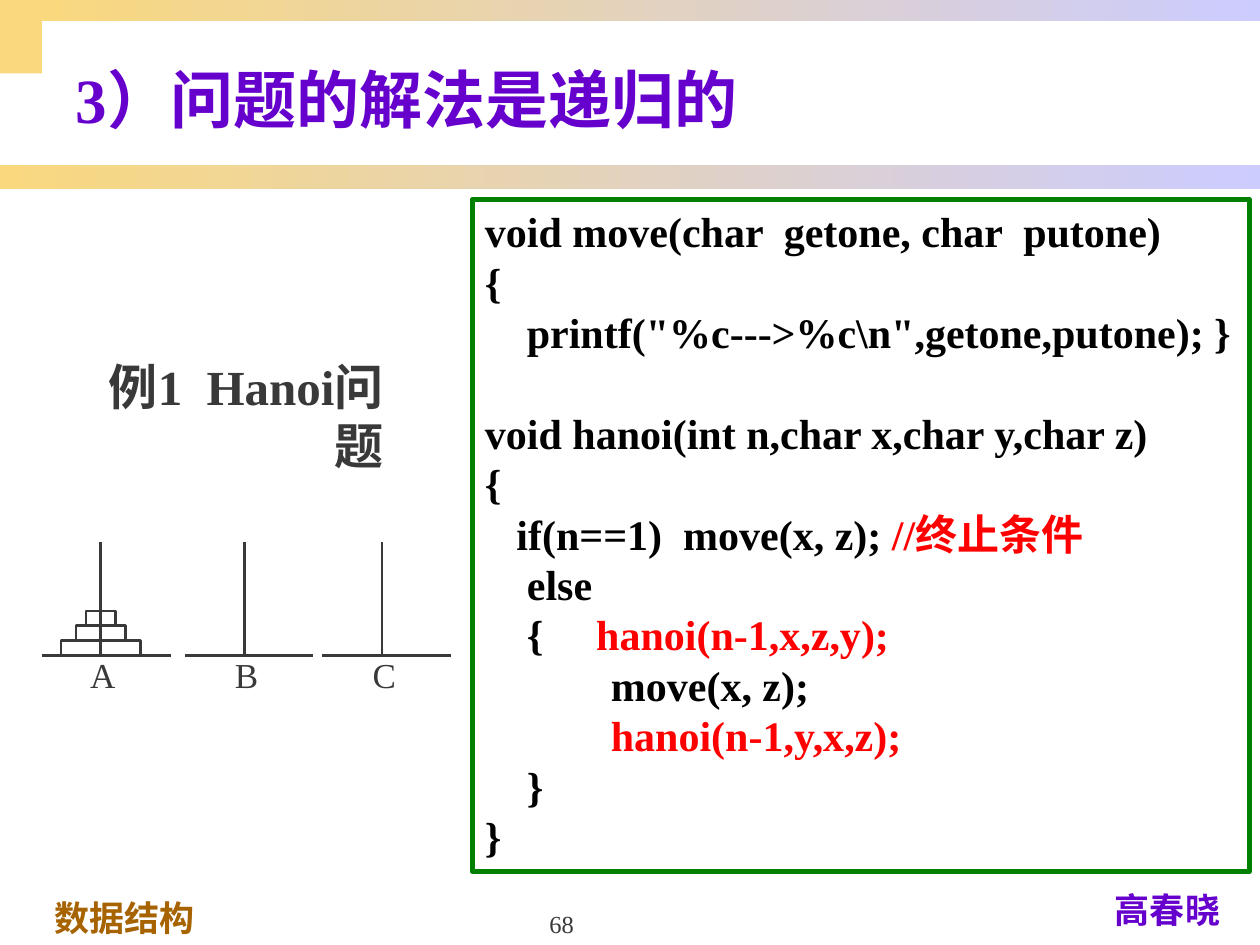
import dataclasses
import typing

import pptx
import pptx.dml.color
import pptx.enum.shapes
import pptx.enum.text
import pptx.oxml
import pptx.util
import lxml.etree

Align = pptx.enum.text.PP_ALIGN
Anchor = pptx.enum.text.MSO_ANCHOR
RECT = pptx.enum.shapes.MSO_SHAPE.RECTANGLE
STRAIGHT = pptx.enum.shapes.MSO_CONNECTOR.STRAIGHT
WIDTH, HEIGHT = pptx.util.Inches(10), pptx.util.Inches(7.5)
COL, ROW = WIDTH / 120, HEIGHT / 90


@dataclasses.dataclass(frozen=True)
class Theme:
    font: str = "Times New Roman"
    gold: str = "F9D87E"
    lilac: str = "CCCCFF"
    brown: str = "A66300"
    purple: str = "6600CC"
    gray: str = "393939"
    black: str = "000000"
    white: str = "FFFFFF"
    red: str = "FF0000"
    green: str = "008000"
    title: int = 36
    heading: int = 28
    code: int = 24
    code_pitch: float = 28.8
    label: int = 20
    number: int = 14
    thin: float = 1.5
    frame: float = 3


THEME = Theme()


class Box(typing.NamedTuple):
    col: float
    row: float
    cols: float
    rows: float

    def emu(self) -> tuple[int, int, int, int]:
        return (round(self.col * COL), round(self.row * ROW),
                round(self.cols * COL), round(self.rows * ROW))


@dataclasses.dataclass(frozen=True)
class Label:
    text: str
    box: Box
    size: int
    color: str
    bold: bool = True
    align: Align = Align.LEFT
    anchor: Anchor = Anchor.TOP


@dataclasses.dataclass(frozen=True)
class Peg:
    name: str
    base: float
    pole: float


@dataclasses.dataclass(frozen=True)
class CodeLine:
    text: str = ""
    red: str = ""
    indent: float = 0
    hang: float = 0
    gap: bool = False


BANDS = [Box(0, 15.75, 120, 2.25), Box(4, 0, 116, 2)]
CORNER = Box(0, 0, 4, 7)
TITLE = Label("3）问题的解法是递归的", Box(6, 3, 114, 12.8), THEME.title,
              THEME.purple, anchor=Anchor.MIDDLE)
LABELS = [
    Label("数据结构", Box(4, 84.8, 42, 5.2), THEME.label, THEME.brown),
    Label("高春晓", Box(103.4, 84, 15.6, 5.2), THEME.label, THEME.purple,
          align=Align.CENTER),
    Label("68", Box(41, 84, 25, 6), THEME.number, THEME.gray, bold=False,
          align=Align.CENTER, anchor=Anchor.BOTTOM),
    Label("例1  Hanoi问题", Box(5.8, 33.4, 31.9, 6.8), THEME.heading,
          THEME.gray, align=Align.RIGHT),
]
PEGS = [Peg("A", 4, 9.6), Peg("B", 17.6, 23.3), Peg("C", 30.7, 36.4)]
PEG_TOP, GROUND, BASE_COLS = 51.6, 62.4, 12.25
DISKS, DISK_ROWS = [7.6, 4.7, 2.8], 1.4
CODE_BOX = Box(45, 19, 74, 64)
CODE = [
    CodeLine("void move(char  getone, char  putone)"),
    CodeLine("{"),
    CodeLine('printf("%c--->%c\\n",getone,putone); }', indent=4),
    CodeLine("void hanoi(int n,char x,char y,char z)", gap=True),
    CodeLine("{"),
    CodeLine("if(n==1)  move(x, z); ", "//终止条件", indent=3),
    CodeLine("else", indent=4),
    CodeLine("{\t", "hanoi(n-1,x,z,y);", indent=4, hang=6.6),
    CodeLine("move(x, z);", indent=12),
    CodeLine("", "hanoi(n-1,y,x,z);", indent=12),
    CodeLine("}", indent=4),
    CodeLine("}"),
]


def rgb(color: str) -> pptx.dml.color.RGBColor:
    return pptx.dml.color.RGBColor.from_string(color)


def set_font(font, size: int, color: str, bold: bool) -> None:
    font.name, font.size, font.bold = THEME.font, pptx.util.Pt(size), bold
    font.color.rgb = rgb(color)


def add_rect(s, box: Box, fill: str = "", line: str = "", width: float = 0):
    sp = s.shapes.add_shape(RECT, *box.emu())
    sp.shadow.inherit = False
    if fill:
        sp.fill.solid()
        sp.fill.fore_color.rgb = rgb(fill)
    else:
        sp.fill.background()
    if line:
        sp.line.color.rgb = rgb(line)
        sp.line.width = pptx.util.Pt(width)
    else:
        sp.line.fill.background()
    return sp


def add_band(s, box: Box) -> None:
    fill = add_rect(s, box).fill
    fill.gradient()
    fill.gradient_angle = 0
    for stop, color in zip(fill.gradient_stops, (THEME.gold, THEME.lilac)):
        stop.color.rgb = rgb(color)


def write_label(sp, label: Label) -> None:
    tf = sp.text_frame
    tf.word_wrap = True
    tf.vertical_anchor = label.anchor
    p = tf.paragraphs[0]
    p.text, p.alignment = label.text, label.align
    set_font(p.font, label.size, label.color, label.bold)


def add_label(s, label: Label) -> None:
    write_label(s.shapes.add_textbox(*label.box.emu()), label)


def add_line(s, col1: float, row1: float, col2: float, row2: float) -> None:
    left, top, width, height = Box(col1, row1, col2 - col1, row2 - row1).emu()
    cx = s.shapes.add_connector(STRAIGHT, left, top, left + width, top + height)
    cx.line.color.rgb = rgb(THEME.gray)
    cx.line.width = pptx.util.Pt(THEME.thin)
    lxml.etree.SubElement(cx._element.spPr, pptx.oxml.ns.qn("a:effectLst"))


def add_peg(s, peg: Peg) -> None:
    add_line(s, peg.base, GROUND, peg.base + BASE_COLS, GROUND)
    add_line(s, peg.pole, PEG_TOP, peg.pole, GROUND)
    box = Box(peg.pole - 2.2, 61.6, 4.8, 5.2)
    add_label(s, Label(peg.name, box, THEME.label, THEME.gray, bold=False,
                       align=Align.CENTER, anchor=Anchor.MIDDLE))


def add_code(s) -> None:
    tf = add_rect(s, CODE_BOX, THEME.white, THEME.green, THEME.frame).text_frame
    tf.word_wrap, tf.vertical_anchor = True, Anchor.TOP
    tf.margin_right = 0
    for i, line in enumerate(CODE):
        p = tf.add_paragraph() if i else tf.paragraphs[0]
        p.alignment = Align.LEFT
        p.line_spacing = pptx.util.Pt(THEME.code_pitch)
        p.space_before = pptx.util.Pt(THEME.code_pitch if line.gap else 0)
        set_font(p.font, THEME.code, THEME.black, True)
        pPr = p._p.get_or_add_pPr()
        pPr.set("marL", str(round((line.indent + line.hang) * COL)))
        pPr.set("indent", str(round(-line.hang * COL)))
        for text, color in ((line.text, THEME.black), (line.red, THEME.red)):
            if text:
                r = p.add_run()
                r.text = text
                r.font.color.rgb = rgb(color)


def main() -> None:
    prs = pptx.Presentation()
    prs.slide_width, prs.slide_height = WIDTH, HEIGHT
    s = prs.slides.add_slide(prs.slide_layouts[5])
    title = s.shapes.title
    title.left, title.top, title.width, title.height = TITLE.box.emu()
    write_label(title, TITLE)
    add_rect(s, CORNER, THEME.gold)
    for band in BANDS:
        add_band(s, band)
    for label in LABELS:
        add_label(s, label)
    add_code(s)
    for peg in PEGS:
        add_peg(s, peg)
    for i, cols in enumerate(DISKS, 1):
        add_rect(s, Box(PEGS[0].pole - cols / 2, GROUND - i * DISK_ROWS, cols,
                        DISK_ROWS), line=THEME.gray, width=THEME.thin)
    prs.save("out.pptx")


if __name__ == "__main__":
    main()
